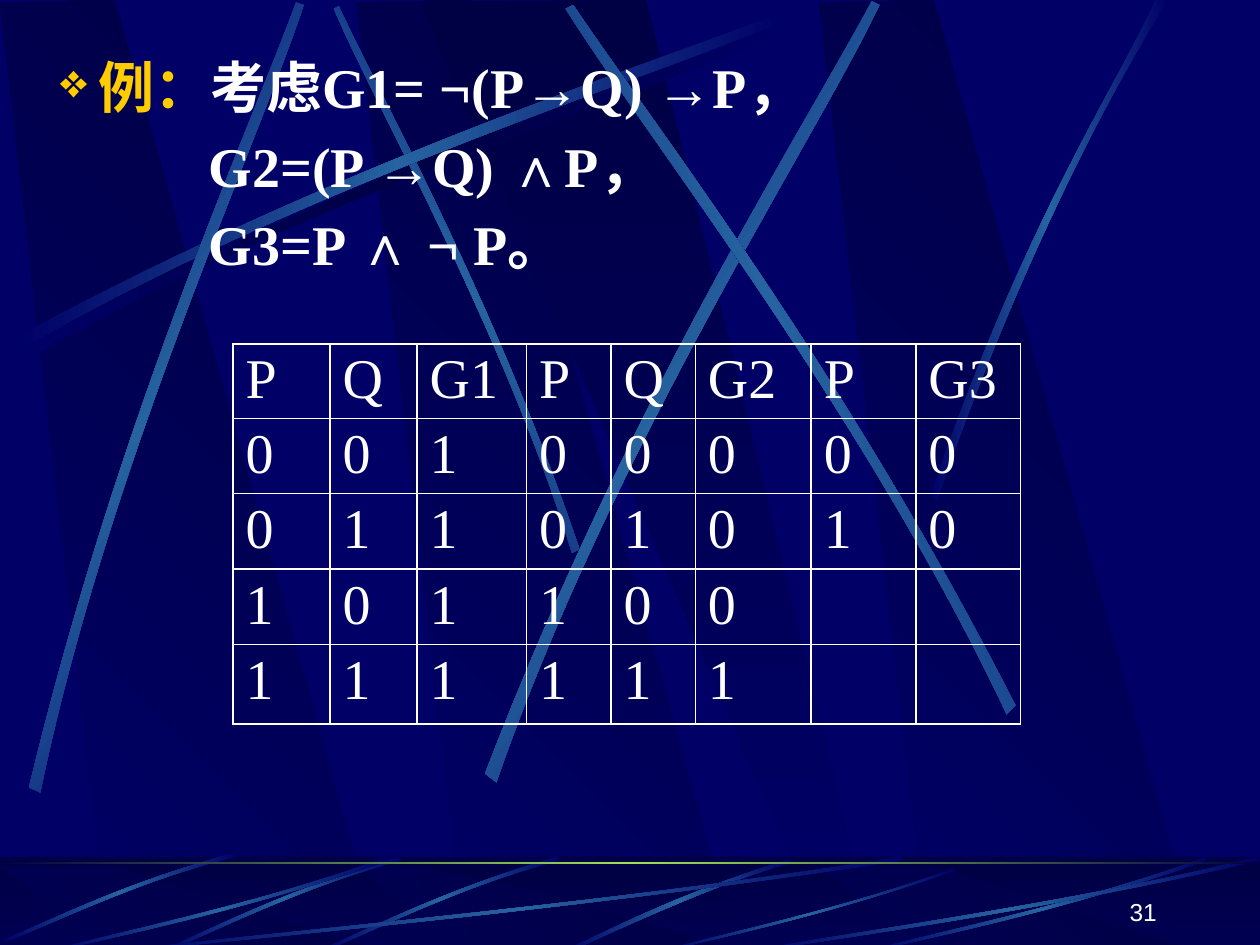
"""Build a slide with three logic formulas and their truth tables on a ribbon backdrop."""
from dataclasses import dataclass

from lxml.etree import SubElement
from pptx import Presentation
from pptx.dml.color import RGBColor
from pptx.enum.shapes import MSO_SHAPE as Preset
from pptx.enum.text import MSO_ANCHOR as Anchor, PP_ALIGN as Align
from pptx.oxml.ns import qn
from pptx.util import Inches, Pt

NAVY, DARK, BLUE, GREEN = "000066", "000044", "2663A0", "9CE157"
WHITE, GOLD = "FFFFFF", "FFCC00"
SERIF, SANS = "Times New Roman", "Arial"
GLOW, SHADE = (NAVY, BLUE, NAVY), (NAVY, DARK, NAVY)
Point = tuple[float, float]


@dataclass
class Panel:
    corners: list[Point]
    stops: tuple[str, ...] = (NAVY, DARK)
    angle: float = 315
    shifts: tuple[float, ...] = (0,)


@dataclass
class Ribbon:
    edge: list[Point]
    back: list[Point]
    angle: float = 0
    stops: tuple[str, ...] = GLOW
    shifts: tuple[Point, ...] = ((0, 0),)


PANEL_SHIFTS = (2.83, 0, 6.5)
WALL_PANELS = [
    Panel([(0.86, 7.5), (3.02, 7.52), (0.91, 0), (0, 0.02)], shifts=PANEL_SHIFTS),
    Panel([(3.33, 0.01), (6.58, 7.51), (6.94, 7.51), (5.13, 0)], (DARK, NAVY), 90),
]
FLOOR_PANELS = [
    Panel([(0.86, 7.54), (3.02, 7.55), (0.91, 6.88), (0, 6.88)], shifts=PANEL_SHIFTS),
    Panel([(3.33, 6.88), (6.58, 7.55), (6.94, 7.55), (5.13, 6.88)], (DARK, NAVY), 90),
]
LONG_EDGE = [(0.14, 2.67), (2.78, 1.25), (5.18, 0.51), (6.2, 0.1)]
LONG_BACK = [(6.23, 0.16), (5.22, 0.61), (2.48, 1.43), (0.17, 2.77)]
WALL_RIBBONS = [
    Ribbon(LONG_EDGE, LONG_BACK, stops=SHADE, shifts=((0.06, 0.08),)),
    Ribbon([(4.6, 4.36), (3.91, 2.34), (3.02, 0.77), (2.69, 0.05)],
           [(2.65, 0.07), (2.95, 0.79), (3.98, 2.58), (4.54, 4.39)], 315),
    Ribbon(LONG_EDGE, LONG_BACK),
    Ribbon([(0.23, 6.25), (0.93, 3.34), (1.97, 1.05), (2.35, 0.02)],
           [(2.41, 0.04), (2.07, 1.09), (0.86, 3.68), (0.32, 6.29)], 40),
    Ribbon([(3.85, 6.14), (4.98, 3.2), (6.38, 1.02), (6.92, 0.01)],
           [(6.98, 0.04), (6.49, 1.08), (4.86, 3.55), (3.94, 6.21)], 38.4),
    Ribbon([(8.06, 5.6), (6.7, 2.93), (5.16, 0.95), (4.55, 0.04)],
           [(4.49, 0.07), (5.07, 1.01), (6.85, 3.25), (7.99, 5.67)], 340),
    Ribbon([(7.38, 3.94), (8.14, 1.73), (8.88, 0.66), (9.17, 0)],
           [(9.27, 0), (8.36, 1.45), (7.69, 3.22), (7.44, 3.97)]),
]
FLOOR_RIBBONS = [
    Ribbon([(6.27, 6.82), (5.37, 7.09), (4.77, 7.42), (4.48, 7.54)],
           [(4.53, 7.55), (4.9, 7.38), (5.71, 7), (6.28, 6.85)]),
    Ribbon([(3.17, 6.8), (2.3, 7.05), (1.62, 7.4), (1.31, 7.53)],
           [(1.32, 7.55), (1.63, 7.43), (2.4, 7.03), (3.19, 6.83)],
           shifts=((1.25, 0), (0, 0))),
    Ribbon([(1.86, 6.77), (0.99, 7), (0.33, 7.34), (0.02, 7.46)],
           [(0.03, 7.48), (0.34, 7.37), (1.1, 6.98), (1.88, 6.8)]),
    Ribbon([(7.17, 6.83), (4.49, 7.23), (2.06, 7.44), (1.03, 7.55)],
           [(1, 7.54), (2.02, 7.41), (4.8, 7.18), (7.14, 6.8)]),
    Ribbon([(3.08, 6.83), (1.93, 7.23), (0.88, 7.44), (0.43, 7.55)],
           [(0.42, 7.54), (0.86, 7.41), (2.06, 7.18), (3.07, 6.8)],
           shifts=((0, 0), (6.5, 0))),
    Ribbon([(7.58, 6.91), (6.58, 7.26), (5.67, 7.45), (5.28, 7.55)],
           [(5.27, 7.54), (5.65, 7.43), (6.69, 7.22), (7.57, 6.89)]),
    Ribbon([(10, 6.83), (8.27, 7.23), (6.69, 7.44), (6.02, 7.55)],
           [(6, 7.54), (6.66, 7.41), (8.46, 7.18), (9.98, 6.8)]),
]
LABEL = "例："
FORMULAS = ["考虑G1= ¬(P→Q) →P，", "G2=(P →Q) ∧P，", "G3=P ∧ ¬ P。"]
TRUTH_ROWS = ["P Q G1 P Q G2 P G3", "0 0 1 0 0 0 0 0", "0 1 1 0 1 0 1 0",
              "1 0 1 1 0 0", "1 1 1 1 1 1"]
COLUMN_WIDTHS = [0.77, 0.69, 0.87, 0.67, 0.67, 0.92, 0.83, 0.83]
ROW_HEIGHTS = [0.59, 0.59, 0.6, 0.6, 0.63]


def color(value: str) -> RGBColor:
    return RGBColor.from_string(value)


def style_font(font, size: float, value: str, name: str = SERIF, bold: bool = False) -> None:
    font.size, font.name, font.bold = Pt(size), name, bold
    font.color.rgb = color(value)


def paint_gradient(shape, stops: tuple[str, ...], angle: float) -> None:
    shape.shadow.inherit = False
    shape.line.fill.background()
    shape.fill.gradient()
    shape.fill.gradient_angle = (360 - angle) % 360
    stop_list = shape.element.spPr.find(qn("a:gradFill")).find(qn("a:gsLst"))
    stop_list.clear()
    for index, value in enumerate(stops):
        position = index * 100000 // (len(stops) - 1)
        stop = SubElement(stop_list, qn("a:gs"), pos=str(position))
        SubElement(stop, qn("a:srgbClr"), val=str(color(value)))


def draw_outline(scene, points: list[Point], stops: tuple[str, ...], angle: float):
    start, *rest = [(Inches(x), Inches(y)) for x, y in points]
    builder = scene.shapes.build_freeform(*start, scale=1.0)
    builder.add_line_segments(rest, close=True)
    outline = builder.convert_to_shape()
    paint_gradient(outline, stops, angle)
    return outline


def bend_edges(outline) -> None:
    segments = list(outline.element.iter(qn("a:lnTo")))
    for controls in (segments[:3], segments[4:7]):
        curve = SubElement(controls[0].getparent(), qn("a:cubicBezTo"))
        controls[0].addprevious(curve)
        for segment in controls:
            curve.append(segment[0])
            segment.getparent().remove(segment)


def draw_panels(scene, panels: list[Panel]) -> None:
    for panel in panels:
        for shift in panel.shifts:
            corners = [(x + shift, y) for x, y in panel.corners]
            draw_outline(scene, corners, panel.stops, panel.angle)


def draw_ribbons(scene, ribbons: list[Ribbon]) -> None:
    for ribbon in ribbons:
        for dx, dy in ribbon.shifts:
            points = [(x + dx, y + dy) for x, y in ribbon.edge + ribbon.back]
            bend_edges(draw_outline(scene, points, ribbon.stops, ribbon.angle))


def draw_strip(scene, top: float, height: float, stops: tuple[str, ...], angle: float):
    strip = scene.shapes.add_shape(Preset.RECTANGLE, 0, Inches(top), Inches(10), Inches(height))
    paint_gradient(strip, stops, angle)
    return strip


def draw_backdrop(page) -> None:
    page.background.fill.solid()
    page.background.fill.fore_color.rgb = color(NAVY)
    scene = page.shapes.add_group_shape()
    draw_panels(scene, WALL_PANELS)
    draw_ribbons(scene, WALL_RIBBONS)
    draw_strip(scene, 6.8, 0.75, (DARK, NAVY), 90)
    draw_panels(scene, FLOOR_PANELS)
    veil = draw_strip(scene, 6.8, 0.75, (DARK, DARK), 0)
    veil.fill.solid()
    veil.fill.fore_color.rgb = color(DARK)
    SubElement(next(veil.element.spPr.iter(qn("a:srgbClr"))), qn("a:alpha"), val="50000")
    draw_ribbons(scene, FLOOR_RIBBONS)
    draw_strip(scene, 6.84, 0.02, (DARK, GREEN, DARK), 0)


def add_text(page, left: float, top: float, width: float, height: float, text: str):
    box = page.shapes.add_textbox(Inches(left), Inches(top), Inches(width), Inches(height))
    box.text_frame.word_wrap = True
    box.text_frame.text = text
    return box.text_frame


def draw_formulas(page) -> None:
    frame = add_text(page, 0.33, 0.37, 9.67, 1.97, "\n".join([LABEL, *FORMULAS[1:]]))
    first, *others = frame.paragraphs
    first.add_run().text = FORMULAS[0]
    settings = first._p.get_or_add_pPr()
    settings.set("marL", str(Inches(0.35)))
    settings.set("indent", str(Inches(-0.3)))
    SubElement(SubElement(settings, qn("a:buClr")), qn("a:srgbClr"), val=str(color(GOLD)))
    SubElement(settings, qn("a:buSzPct"), val="85000")
    SubElement(settings, qn("a:buChar"), char="❖")
    for para in others:
        para.space_before = Pt(6.4)
        para._p.get_or_add_pPr().set("marL", str(Inches(1.23)))
    for para in frame.paragraphs:
        for span in para.runs:
            style_font(span.font, 32, GOLD if span.text == LABEL else WHITE, bold=True)


def style_cell(cell) -> None:
    cell.margin_top, cell.margin_bottom = Inches(0.04), Inches(0.02)
    settings = cell._tc.get_or_add_tcPr()
    for side in ("lnL", "lnR", "lnT", "lnB"):
        border = SubElement(settings, qn(f"a:{side}"), w=str(Pt(1)))
        SubElement(SubElement(border, qn("a:solidFill")), qn("a:srgbClr"), val=str(color(WHITE)))
    cell.fill.background()


def draw_truth_table(page) -> None:
    table = page.shapes.add_table(
        len(ROW_HEIGHTS), len(COLUMN_WIDTHS), Inches(1.85), Inches(2.73),
        Inches(sum(COLUMN_WIDTHS)), Inches(sum(ROW_HEIGHTS))).table
    table.first_row = table.horz_banding = False
    for column, width in zip(table.columns, COLUMN_WIDTHS):
        column.width = Inches(width)
    for row, height, values in zip(table.rows, ROW_HEIGHTS, TRUTH_ROWS):
        row.height = Inches(height)
        for cell in row.cells:
            style_cell(cell)
        for cell, value in zip(row.cells, values.split()):
            cell.text_frame.text = value
            style_font(cell.text_frame.paragraphs[0].runs[0].font, 32, WHITE)


def draw_page_number(page) -> None:
    frame = add_text(page, 7.2, 6.9, 2.08, 0.5, "31")
    frame.vertical_anchor = Anchor.BOTTOM
    frame.paragraphs[0].alignment = Align.RIGHT
    style_font(frame.paragraphs[0].runs[0].font, 14, WHITE, SANS)


def main() -> None:
    deck = Presentation()
    deck.slide_width, deck.slide_height = Inches(10), Inches(7.5)
    page = deck.slides.add_slide(deck.slide_layouts[6])
    draw_backdrop(page)
    draw_formulas(page)
    draw_truth_table(page)
    draw_page_number(page)
    deck.save("out.pptx")


if __name__ == "__main__":
    main()
